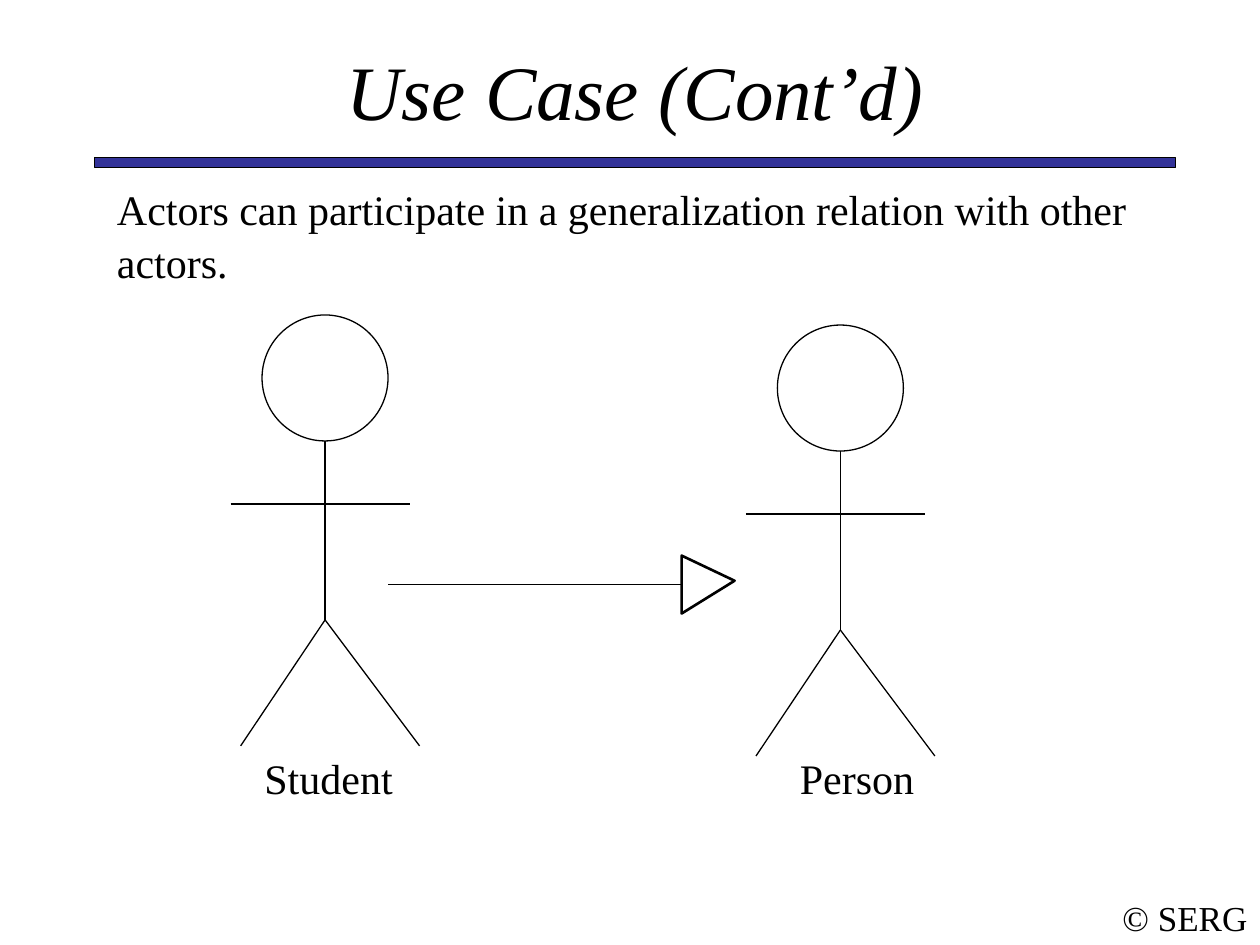
import pptx
import pptx.util
import pptx.dml.color
import pptx.enum.shapes
import pptx.enum.text
import pptx.oxml.ns
import lxml.etree
from dataclasses import dataclass

Inches = pptx.util.Inches
Pt = pptx.util.Pt
Align = pptx.enum.text.PP_ALIGN
Anchor = pptx.enum.text.MSO_ANCHOR
Preset = pptx.enum.shapes.MSO_SHAPE


@dataclass(frozen=True)
class Theme:
    font: str = "Times New Roman"
    ink: str = "000000"
    paper: str = "FFFFFF"
    accent: str = "333399"
    title_size: float = 44
    body_size: float = 24
    footer_size: float = 20
    thin: float = 0.75
    thick: float = 1.5


def color(value):
    return pptx.dml.color.RGBColor.from_string(value)


def write_text(frame, text, *, theme, size, italic=False, align=Align.LEFT,
               anchor=Anchor.TOP, wrap=True, spacing=None):
    frame.word_wrap = wrap
    frame.vertical_anchor = anchor
    paragraph = frame.paragraphs[0]
    paragraph.alignment = align
    paragraph.line_spacing = spacing
    run = paragraph.add_run()
    run.text = text
    run.font.name = theme.font
    run.font.size = Pt(size)
    run.font.italic = italic
    run.font.color.rgb = color(theme.ink)


class Sketch:
    def __init__(self, slide, theme):
        self.slide = slide
        self.theme = theme

    def text(self, text, left, top, width, height, **style):
        box = self.slide.shapes.add_textbox(
            Inches(left), Inches(top), Inches(width), Inches(height))
        write_text(box.text_frame, text, theme=self.theme, **style)

    def outline(self, element, fill=None, weight=None):
        element.shadow.inherit = False
        if fill:
            element.fill.solid()
            element.fill.fore_color.rgb = color(fill)
        else:
            element.fill.background()
        element.line.color.rgb = color(self.theme.ink)
        element.line.width = Pt(weight or self.theme.thin)

    def shape(self, preset, left, top, width, height, fill=None):
        self.outline(self.slide.shapes.add_shape(
            preset, Inches(left), Inches(top), Inches(width), Inches(height)), fill)

    def line(self, start, end):
        stroke = self.slide.shapes.add_connector(
            pptx.enum.shapes.MSO_CONNECTOR.STRAIGHT,
            *(Inches(value) for value in (*start, *end)))
        stroke.line.color.rgb = color(self.theme.ink)
        stroke.line.width = Pt(self.theme.thin)
        lxml.etree.SubElement(stroke._element.spPr, pptx.oxml.ns.qn("a:effectLst"))

    def polygon(self, points, fill):
        first, *rest = [(Inches(x), Inches(y)) for x, y in points]
        builder = self.slide.shapes.build_freeform(*first, scale=1.0)
        builder.add_line_segments(rest, close=True)
        self.outline(builder.convert_to_shape(), fill, self.theme.thick)

    def actor(self, center, top):
        hip = (center, top + 2.42)
        foot = top + 3.42
        self.shape(Preset.OVAL, center - 0.5, top, 1, 1)
        self.line((center, top + 1), hip)
        self.line(hip, (center + 0.75, foot))
        self.line(hip, (center - 0.67, foot))
        self.line((center - 0.75, top + 1.5), (center + 0.67, top + 1.5))


def main():
    deck = pptx.Presentation()
    deck.slide_width, deck.slide_height = Inches(10), Inches(7.5)
    theme = Theme()
    sketch = Sketch(deck.slides.add_slide(deck.slide_layouts[6]), theme)

    sketch.text("© SERG", 8.81, 7.06, 1.19, 0.44, size=theme.footer_size,
                align=Align.CENTER, anchor=Anchor.MIDDLE, wrap=False)
    sketch.shape(Preset.RECTANGLE, 0.75, 1.25, 8.58, 0.08, fill=theme.accent)
    sketch.text("Use Case (Cont’d)", 0.75, 0.42, 8.58, 0.58, size=theme.title_size,
                italic=True, align=Align.CENTER, anchor=Anchor.MIDDLE)

    sketch.actor(2.58, 2.5)
    sketch.polygon([(5.83, 4.61), (5.41, 4.41), (5.41, 4.87)], theme.paper)
    sketch.line((5.42, 4.64), (3.08, 4.64))
    sketch.actor(6.67, 2.58)

    for role, left, width in (("Student", 2, 1.42), ("Person", 6.25, 1.17)):
        sketch.text(role, left, 5.92, width, 0.5, size=theme.body_size)
    sketch.text("Actors can participate in a generalization relation with other actors.",
                0.83, 1.41, 8.33, 0.9, size=theme.body_size,
                anchor=Anchor.MIDDLE, spacing=1.05)
    deck.save("out.pptx")


if __name__ == "__main__":
    main()
